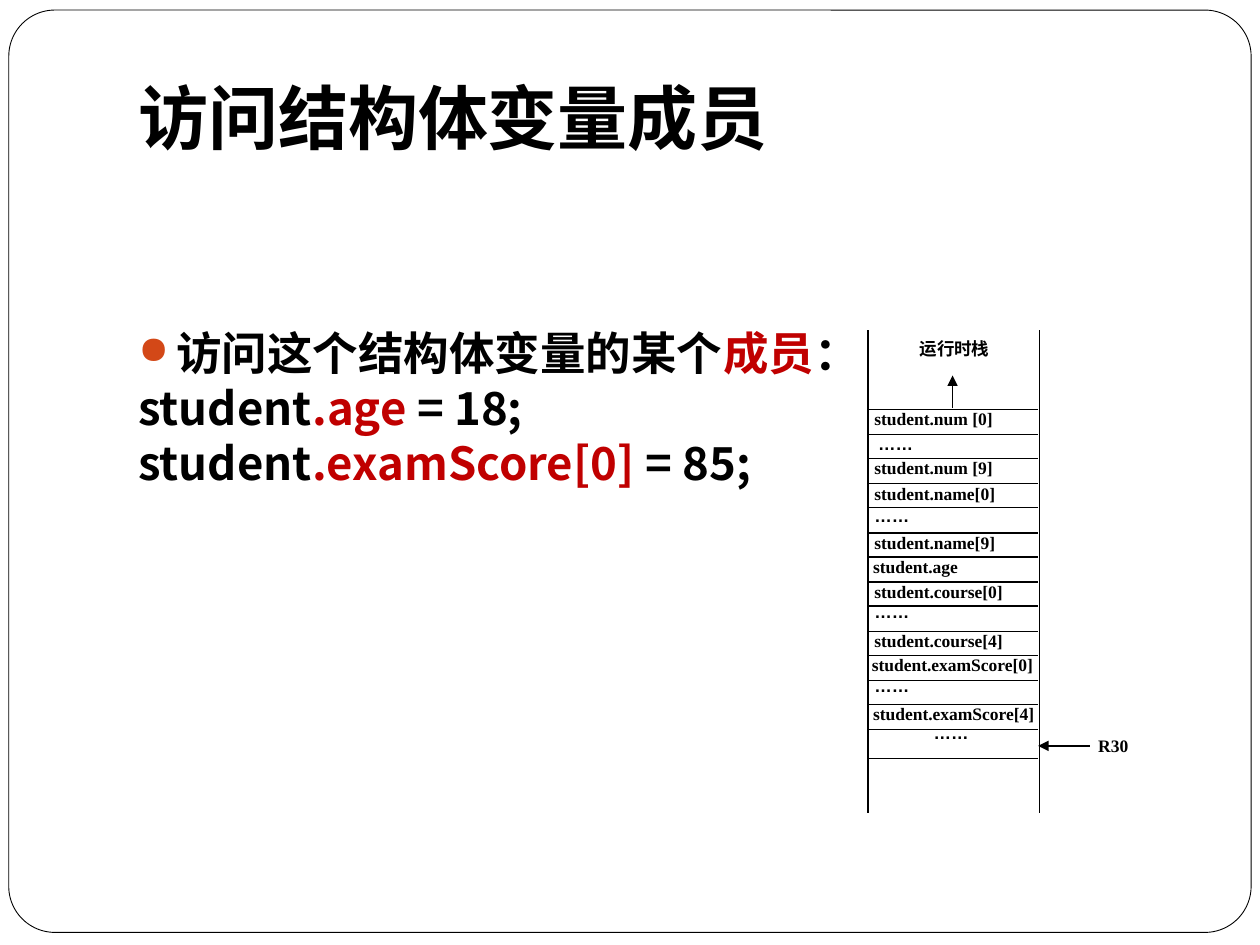
from dataclasses import dataclass

from lxml.etree import SubElement
from pptx import Presentation
from pptx.dml.color import RGBColor
from pptx.enum.shapes import MSO_CONNECTOR as Connector, MSO_SHAPE as Preset
from pptx.enum.text import MSO_ANCHOR as Anchor, PP_ALIGN as Align
from pptx.oxml.ns import qn
from pptx.util import Emu, Pt

EMU_PER_PX = 9144  # 100 px to the inch


@dataclass(frozen=True)
class Theme:
    black: str = "000000"
    white: str = "FFFFFF"
    accent: str = "C00000"
    bullet: str = "D34817"
    chinese: str = "Noto Sans CJK SC"
    serif: str = "Times New Roman"
    dots: str = "Arial"
    title_size: int = 40
    body_size: int = 26
    label_size: int = 10


@dataclass(frozen=True)
class Cell:
    text: str
    left: int = 692
    lift: int = 2  # how far the label box rises above its row line


THEME = Theme()
DOTS = "……"

STACK_LEFT, STACK_RIGHT = 689, 825
STACK_TOP, STACK_BOTTOM = 262, 645
FIRST_ROW, LAST_ROW, STACK_END = 325, 579, 602

CELLS = [
    Cell("student.num [0]"),
    Cell(DOTS, left=695),
    Cell("student.num [9]"),
    Cell("student.name[0]"),
    Cell(DOTS, lift=3),
    Cell("student.name[9]"),
    Cell("student.age", left=691),
    Cell("student.course[0]"),
    Cell(DOTS, lift=5),
    Cell("student.course[4]"),
    Cell("student.examScore[0]", left=690),
    Cell(DOTS, lift=5),
    Cell("student.examScore[4]", left=691),
    Cell(DOTS, left=739, lift=7),
]

BODY = [
    [("访问这个结构体变量的某个", THEME.black), ("成员", THEME.accent), ("：", THEME.black)],
    [("student", THEME.black), (".age", THEME.accent), (" = 18;", THEME.black)],
    [("student", THEME.black), (".examScore[0]", THEME.accent), (" = 85;", THEME.black)],
]


def px(length: int) -> Emu:
    return Emu(length * EMU_PER_PX)


def add_bullet(paragraph) -> None:
    properties = paragraph._p.get_or_add_pPr()
    color = SubElement(properties, qn("a:buClr"))
    SubElement(color, qn("a:srgbClr"), val=THEME.bullet)
    SubElement(properties, qn("a:buSzPct"), val="85000")
    SubElement(properties, qn("a:buChar"), char="●")


def add_text(slide, paragraphs: list, left: int, top: int, width: int, height: int, *,
             size: int, font: str, east_asian: str = THEME.chinese,
             insets: tuple = (2, 1, 2, 1), align=Align.LEFT, anchor=Anchor.TOP,
             indent: int = 0, space_before: float = 0, line_spacing: float = 1.0,
             first_bullet: bool = False) -> None:
    """Each paragraph is a list of (text, colour) runs."""
    box = slide.shapes.add_textbox(px(left), px(top), px(width), px(height))
    frame = box.text_frame
    frame.word_wrap = True
    frame.vertical_anchor = anchor
    (frame.margin_left, frame.margin_top,
     frame.margin_right, frame.margin_bottom) = map(px, insets)
    for index, runs in enumerate(paragraphs):
        paragraph = frame.add_paragraph() if index else frame.paragraphs[0]
        paragraph.alignment = align
        paragraph.line_spacing = line_spacing
        if index:
            paragraph.space_before = Pt(space_before)
        if indent:
            properties = paragraph._p.get_or_add_pPr()
            properties.set("marL", str(px(indent)))
            properties.set("indent", str(-px(indent)))
        if first_bullet and index == 0:
            add_bullet(paragraph)
        for text, color in runs:
            run = paragraph.add_run()
            run.text = text
            run.font.size = Pt(size)
            run.font.bold = True
            run.font.name = font
            run.font.color.rgb = RGBColor.from_string(color)
            SubElement(run._r.get_or_add_rPr(), qn("a:ea"), typeface=east_asian)


def add_label(slide, text: str, left: int, top: int, width: int,
              height: int = 25, align=Align.LEFT) -> None:
    is_dots = text == DOTS
    add_text(slide, [[(text, THEME.black)]], left, top, width, height,
             size=THEME.label_size, align=align,
             font=THEME.dots if is_dots else THEME.serif,
             east_asian=THEME.dots if is_dots else THEME.chinese)


def add_line(slide, start: tuple, end: tuple, arrow: bool = False) -> None:
    line = slide.shapes.add_connector(Connector.STRAIGHT, *map(px, start + end))
    line.line.color.rgb = RGBColor.from_string(THEME.black)
    line.line.width = Pt(0.75)
    if arrow:
        SubElement(line.line._get_or_add_ln(), qn("a:tailEnd"), type="triangle")
    SubElement(line._element.spPr, qn("a:effectLst"))


def add_slide_frame(slide) -> None:
    shape = slide.shapes.add_shape(Preset.ROUNDED_RECTANGLE, px(7), px(8), px(986), px(732))
    shape.adjustments[0] = 0.05
    shape.shadow.inherit = False
    shape.fill.solid()
    shape.fill.fore_color.rgb = RGBColor.from_string(THEME.white)
    shape.line.color.rgb = RGBColor.from_string(THEME.black)
    shape.line.width = Pt(0.5)


def add_stack(slide) -> None:
    # Side walls
    for wall in (STACK_LEFT, STACK_RIGHT):
        add_line(slide, (wall, STACK_TOP), (wall, STACK_BOTTOM))

    # Rows and their labels
    pitch = (LAST_ROW - FIRST_ROW) / (len(CELLS) - 1)
    rows = [round(FIRST_ROW + index * pitch) for index in range(len(CELLS))]
    for row in rows + [STACK_END]:
        add_line(slide, (STACK_LEFT, row), (STACK_RIGHT - 1, row))
    for cell, row in zip(CELLS, rows):
        add_label(slide, cell.text, cell.left, row - cell.lift, 156)

    # Heading, growth arrow and frame pointer
    add_label(slide, "运行时栈", 693, 267, 129, height=21, align=Align.CENTER)
    add_line(slide, (756, 324), (756, 298), arrow=True)
    add_line(slide, (865, 592), (824, 592), arrow=True)
    add_label(slide, "R30", 869, 582, 29, align=Align.CENTER)


def main() -> None:
    presentation = Presentation()
    presentation.slide_width, presentation.slide_height = px(1000), px(750)
    slide = presentation.slides.add_slide(presentation.slide_layouts[6])

    add_slide_frame(slide)
    add_text(slide, [[("访问结构体变量成员", THEME.black)]], 100, 30, 850, 125,
             size=THEME.title_size, font=THEME.chinese,
             insets=(10, 5, 10, 5), anchor=Anchor.MIDDLE)
    add_text(slide, BODY, 100, 257, 794, 433,
             size=THEME.body_size, font=THEME.chinese, insets=(10, 9, 10, 5),
             indent=30, space_before=5.8, line_spacing=0.82, first_bullet=True)
    add_stack(slide)

    presentation.save("out.pptx")


if __name__ == "__main__":
    main()
